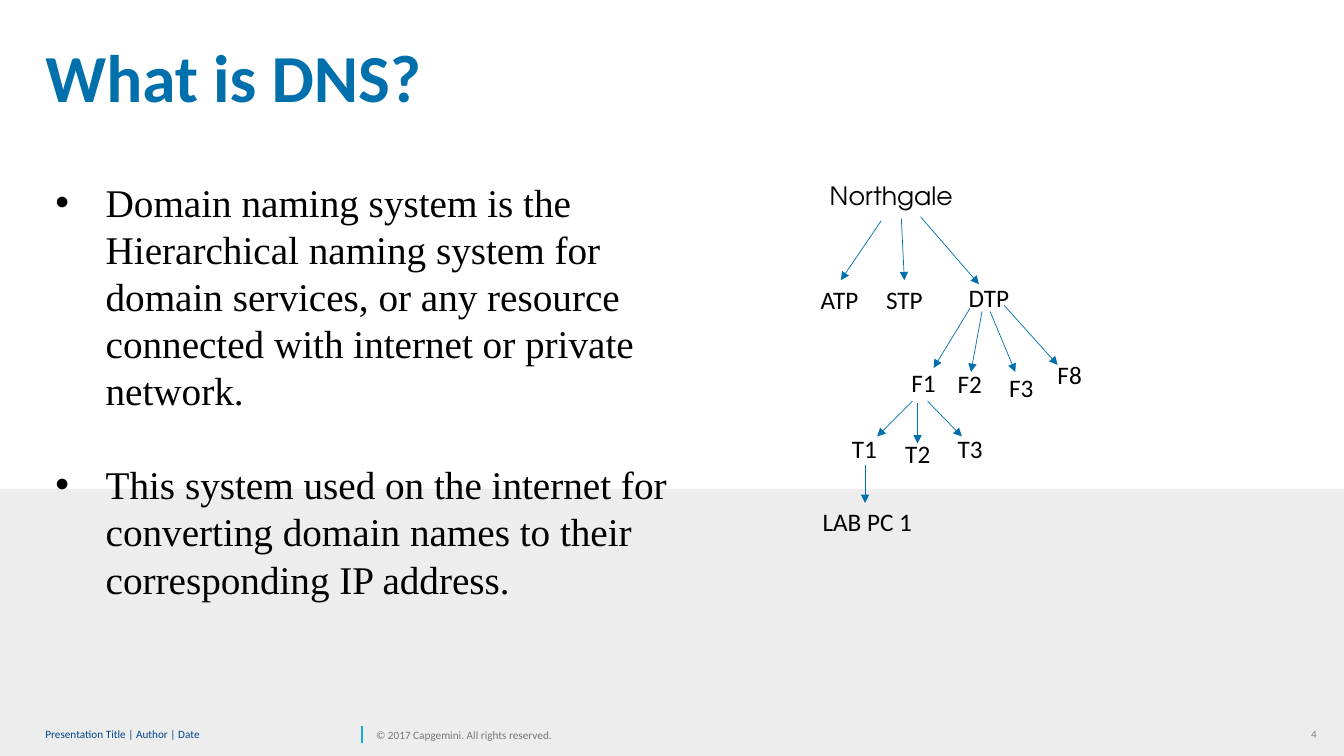
"""Builds the "What is DNS?" slide with a domain hierarchy tree."""
from lxml.etree import SubElement
from pptx import Presentation
from pptx.dml.color import RGBColor
from pptx.enum.shapes import MSO_CONNECTOR as Link, MSO_SHAPE as Preset
from pptx.enum.text import MSO_ANCHOR as Anchor, MSO_AUTO_SIZE as Fit, PP_ALIGN as Align
from pptx.oxml.ns import qn
from pptx.util import Inches, Pt

BLUE = RGBColor(0x00, 0x70, 0xAD)
NAVY = RGBColor(0x00, 0x45, 0x8D)
CYAN = RGBColor(0x12, 0xAB, 0xDB)
BAND = RGBColor(0xED, 0xED, 0xED)
GREY = RGBColor(0x76, 0x76, 0x76)
NUMBER_GREY = RGBColor(0x80, 0x80, 0x80)
BLACK = RGBColor(0x00, 0x00, 0x00)

TITLE = "What is DNS?"
BULLETS = [
    "Domain naming system is the Hierarchical naming system for domain services, "
    "or any resource connected with internet or private network.",
    "This system used on the internet for converting domain names to their "
    "corresponding IP address.",
]
FOOTER = "Presentation Title | Author | Date"
COPYRIGHT = "© 2017 Capgemini. All rights reserved."
PAGE_NUMBER = "4"

ROOT = ("Northgale", 8.13, 1.74, 1.71)
NODES = [
    ("ATP", 8.04, 2.77, 0.84),
    ("STP", 8.69, 2.77, 0.74),
    ("DTP", 9.51, 2.75, 0.67),
    ("F1", 8.94, 3.59, 0.48),
    ("F2", 9.4, 3.6, 0.54),
    ("F3", 9.91, 3.64, 0.49),
    ("F8", 10.39, 3.52, 0.57),
    ("T1", 8.35, 4.25, 0.51),
    ("T2", 8.88, 4.3, 0.62),
    ("T3", 9.4, 4.25, 0.67),
    ("LAB PC 1", 8.06, 4.97, 1.12),
]
NODE_HEIGHT = 0.4
ARROWS = [
    (8.74, 2.19, 8.34, 2.78),
    (8.94, 2.17, 8.97, 2.78),
    (9.13, 2.15, 9.71, 2.82),
    (9.62, 3.06, 9.26, 3.65),
    (9.74, 3.09, 9.63, 3.69),
    (9.82, 3.09, 10.07, 3.69),
    (9.96, 3.03, 10.49, 3.62),
    (9.05, 3.98, 8.7, 4.33),
    (9.1, 4, 9.1, 4.4),
    (9.2, 3.98, 9.54, 4.33),
    (8.58, 4.61, 8.58, 4.99),
]


def add_text(page, area, lines, size, color, font="Calibri", bold=False, wrap=True,
             inset=True, grow=False, anchor=Anchor.TOP, align=Align.LEFT,
             spacing=None, bullet=False):
    box = page.shapes.add_textbox(*map(Inches, area))
    frame = box.text_frame
    frame.word_wrap = wrap
    frame.auto_size = Fit.SHAPE_TO_FIT_TEXT if grow else Fit.NONE
    frame.vertical_anchor = anchor
    if not inset:
        frame.margin_left = frame.margin_right = 0
        frame.margin_top = frame.margin_bottom = 0
    for index, line in enumerate(lines):
        para = frame.add_paragraph() if index else frame.paragraphs[0]
        para.alignment = align
        if spacing:
            para.line_spacing = spacing
        if index:
            para.space_before = Pt(size * 1.2)
        if bullet:
            properties = para._p.get_or_add_pPr()
            properties.set("marL", str(Inches(0.5)))
            properties.set("indent", str(-Inches(0.5)))
            SubElement(properties, qn("a:buFont"), typeface="Arial")
            SubElement(properties, qn("a:buChar"), char="•")
        span = para.add_run()
        span.text = line
        span.font.name = font
        span.font.size = Pt(size)
        span.font.bold = bold
        span.font.color.rgb = color


def add_line(page, ends, color, width, arrow=False):
    line = page.shapes.add_connector(Link.STRAIGHT, *map(Inches, ends))
    line.line.color.rgb = color
    line.line.width = Pt(width)
    if arrow:
        SubElement(line.line._get_or_add_ln(), qn("a:tailEnd"), type="triangle")
    SubElement(line._element.spPr, qn("a:effectLst"))


def main():
    deck = Presentation()
    deck.slide_width, deck.slide_height = Inches(13.33), Inches(7.5)
    page = deck.slides.add_slide(deck.slide_layouts[6])

    band = page.shapes.add_shape(Preset.RECTANGLE, *map(Inches, (0, 4.85, 13.33, 2.65)))
    band.shadow.inherit = False
    band.fill.solid()
    band.fill.fore_color.rgb = BAND
    band.line.fill.background()

    add_text(page, (12.89, 7.17, 0.27, 0.24), [PAGE_NUMBER], 8, NUMBER_GREY,
             wrap=False, grow=True, align=Align.RIGHT)
    add_line(page, (3.59, 7.37, 3.59, 7.2), CYAN, 1)
    add_text(page, (0.45, 7.17, 3.09, 0.24), [FOOTER], 8, NAVY,
             inset=False, anchor=Anchor.MIDDLE, spacing=0.85)
    add_text(page, (3.73, 7.17, 2.43, 0.24), [COPYRIGHT], 8, GREY,
             wrap=False, inset=False, anchor=Anchor.MIDDLE)
    add_text(page, (0.45, 0.44, 12.05, 0.94), [TITLE], 48, BLUE,
             bold=True, inset=False, spacing=0.9)

    for name, left, top, width in [ROOT] + NODES:
        font = "TeX Gyre Adventor" if name == ROOT[0] else "Calibri"
        add_text(page, (left, top, width, NODE_HEIGHT), [name], 18, BLACK,
                 font=font, grow=True)
    for ends in ARROWS:
        add_line(page, ends, BLUE, 0.5, arrow=True)

    add_text(page, (0.45, 1.72, 6.73, 4.34), BULLETS, 28, BLACK,
             font="Times New Roman", grow=True, bullet=True)
    deck.save("out.pptx")


if __name__ == "__main__":
    main()
